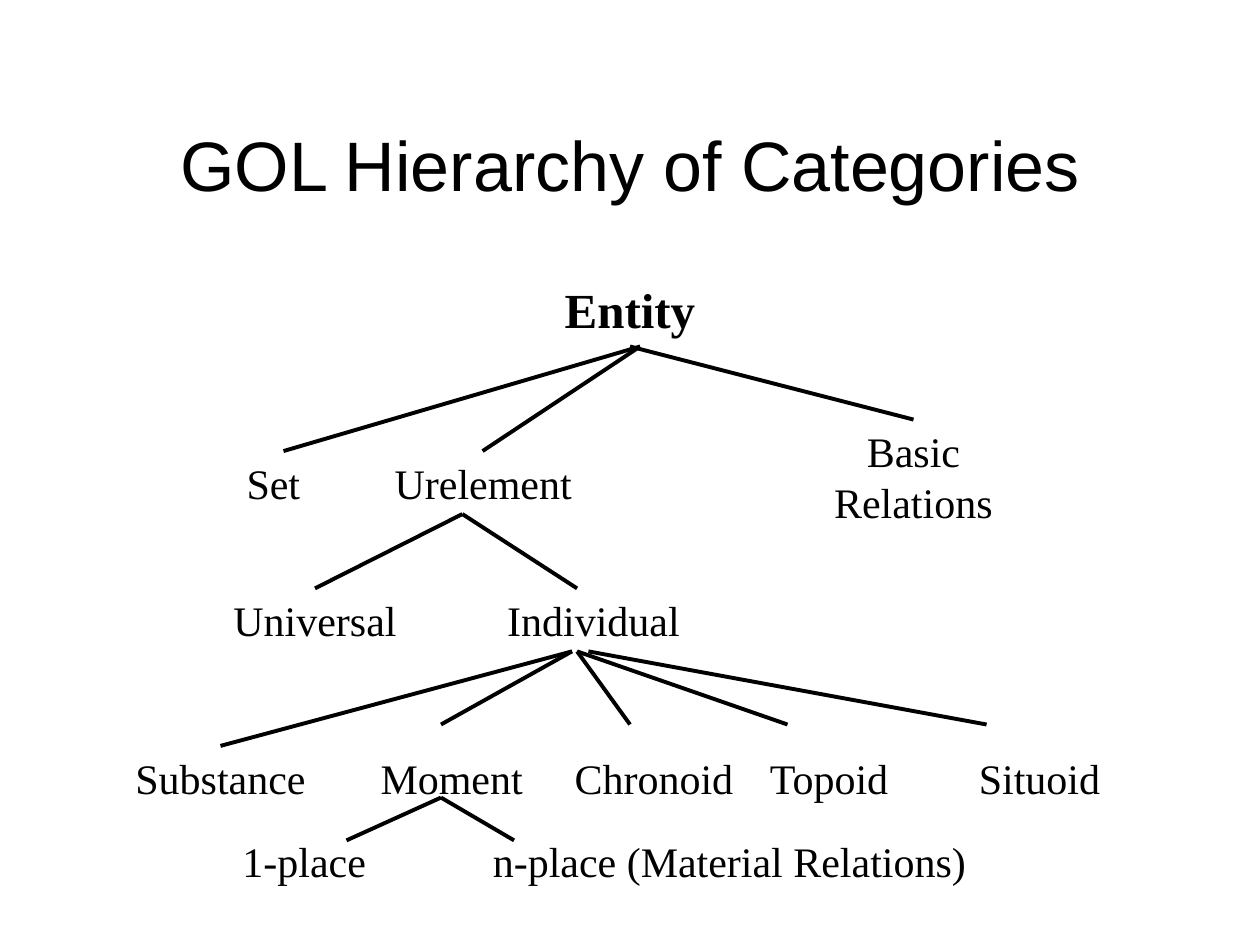
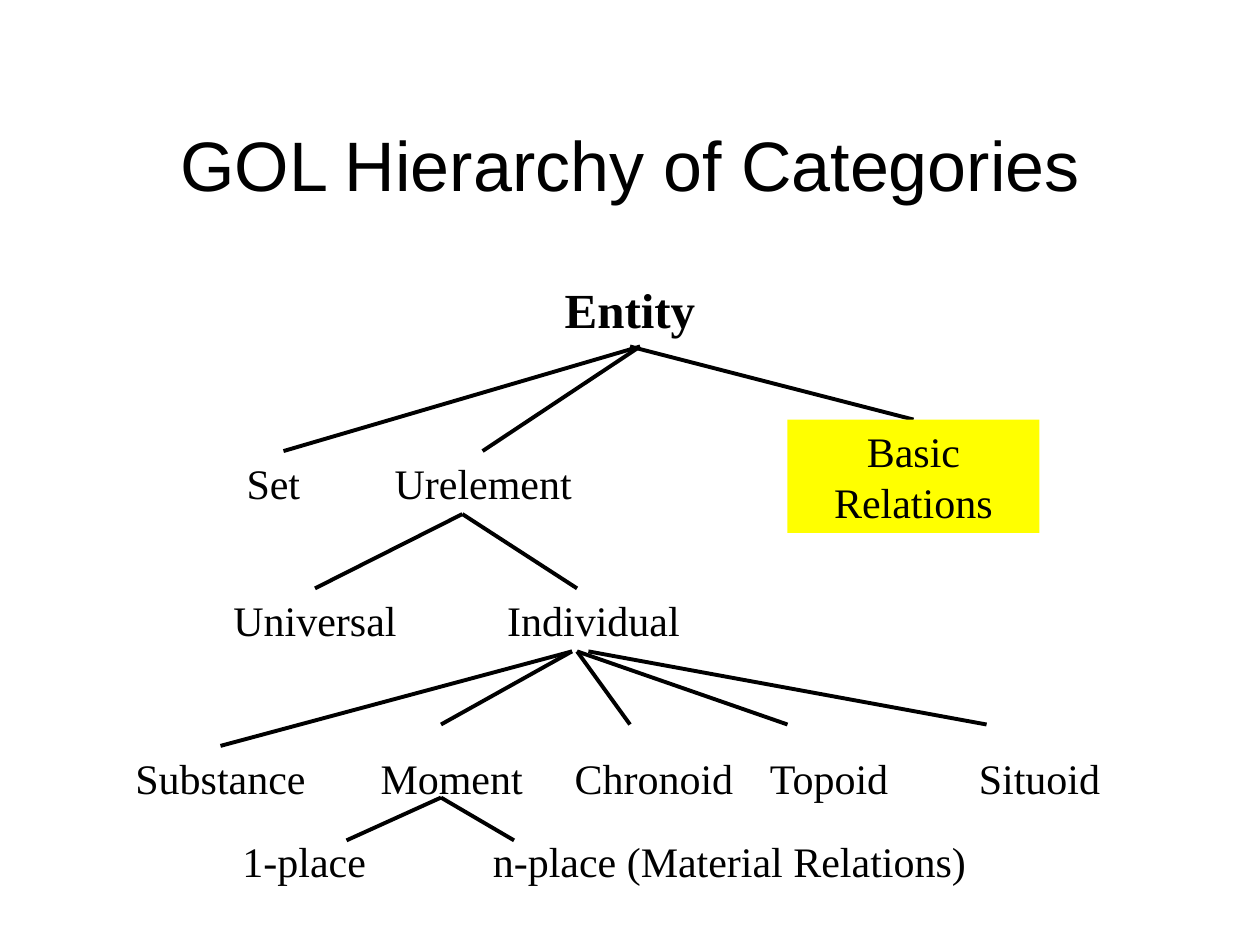
from pptx import Presentation
from pptx.dml.color import RGBColor
from pptx.enum.shapes import MSO_CONNECTOR, MSO_SHAPE
from pptx.enum.text import MSO_ANCHOR, MSO_AUTO_SIZE, PP_ALIGN
from pptx.oxml.ns import qn
from pptx.util import Inches, Pt
from lxml.etree import SubElement

COLORS = {"ink": "000000", "paper": "FFFFFF", "mark": "FFFF00"}
SERIF = "Times New Roman"
TITLE = {"name": "Arial", "size": Pt(40), "bold": False}
ROOT = {"name": SERIF, "size": Pt(28), "bold": True}
NODE = {"name": SERIF, "size": Pt(24), "bold": False}

# Each row of the tree: top -> (label, left, width)
ROWS = {
    3.58: [("Set", 1.42, 1.5), ("Urelement", 2.92, 1.83)],
    4.67: [("Universal", 1.75, 1.5), ("Individual", 3.67, 2.08)],
    5.92: [("Substance", 0.71, 2.08), ("Moment", 2.92, 1.33),
           ("Chronoid", 4.25, 1.88), ("Topoid", 5.83, 1.5),
           ("Situoid", 7.5, 1.5)],
    6.58: [("1-place", 1.58, 1.67),
           ("n-place (Material Relations)", 3.75, 4.08)],
}

# Each fan of branches: start point -> end points
FANS = {
    (5.08, 2.75): [(2.25, 3.58), (3.83, 3.58)],
    (5, 2.75): [(7.25, 3.33)],
    (3.67, 4.08): [(2.5, 4.67), (4.58, 4.67)],
    (4.54, 5.17): [(1.75, 5.92), (3.5, 5.75)],
    (4.58, 5.17): [(5, 5.75), (6.25, 5.75)],
    (4.67, 5.17): [(7.83, 5.75)],
    (3.5, 6.33): [(2.75, 6.67), (4.08, 6.67)],
}


def tint(name):
    return RGBColor.from_string(COLORS[name])


def write(frame, text, style):
    """Fill a text frame with one centred paragraph in the given style."""
    frame.word_wrap = True
    frame.text = text
    para = frame.paragraphs[0]
    para.alignment = PP_ALIGN.CENTER
    for key, value in style.items():
        setattr(para.font, key, value)
    para.font.color.rgb = tint("ink")


def add_title(slide, text):
    title = slide.shapes.title
    place = {"left": 0, "top": 0.67, "width": 10, "height": 1.25}
    for key, value in place.items():
        setattr(title, key, Inches(value))
    write(title.text_frame, text, TITLE)
    title.text_frame.vertical_anchor = MSO_ANCHOR.MIDDLE
    title.text_frame.auto_size = MSO_AUTO_SIZE.NONE


def add_label(slide, text, left, top, width, height=0.5, style=NODE, lit=False):
    box = [Inches(n) for n in (left, top, width, height)]
    if lit:
        label = slide.shapes.add_shape(MSO_SHAPE.RECTANGLE, *box)
        label.shadow.inherit = False
        label.fill.solid()
        label.fill.fore_color.rgb = tint("mark")
        label.line.fill.background()
    else:
        label = slide.shapes.add_textbox(*box)
    write(label.text_frame, text, style)
    label.text_frame.vertical_anchor = MSO_ANCHOR.TOP
    label.text_frame.auto_size = MSO_AUTO_SIZE.SHAPE_TO_FIT_TEXT


def add_branch(slide, start, end):
    points = [Inches(n) for n in (*start, *end)]
    branch = slide.shapes.add_connector(MSO_CONNECTOR.STRAIGHT, *points)
    branch.line.width = Pt(2.25)
    branch.line.color.rgb = tint("ink")
    SubElement(branch._element.spPr, qn("a:effectLst"))


def add_tree(deck, lit):
    """Add a slide with the category tree, with Basic Relations lit or not."""
    slide = deck.slides.add_slide(deck.slide_layouts[5])
    slide.background.fill.solid()
    slide.background.fill.fore_color.rgb = tint("paper")
    add_title(slide, "GOL Hierarchy of Categories")
    for start, ends in FANS.items():
        for end in ends:
            add_branch(slide, start, end)
    add_label(slide, "Entity", 0, 2.17, 10, 0.57, ROOT)
    add_label(slide, "Basic Relations", 6.25, 3.33, 2, 0.9, lit=lit)
    for top, row in ROWS.items():
        for text, left, width in row:
            add_label(slide, text, left, top, width)


def main():
    deck = Presentation()
    deck.slide_width, deck.slide_height = Inches(10), Inches(7.5)
    for lit in (False, True):
        add_tree(deck, lit)
    deck.save("out.pptx")


if __name__ == "__main__":
    main()
